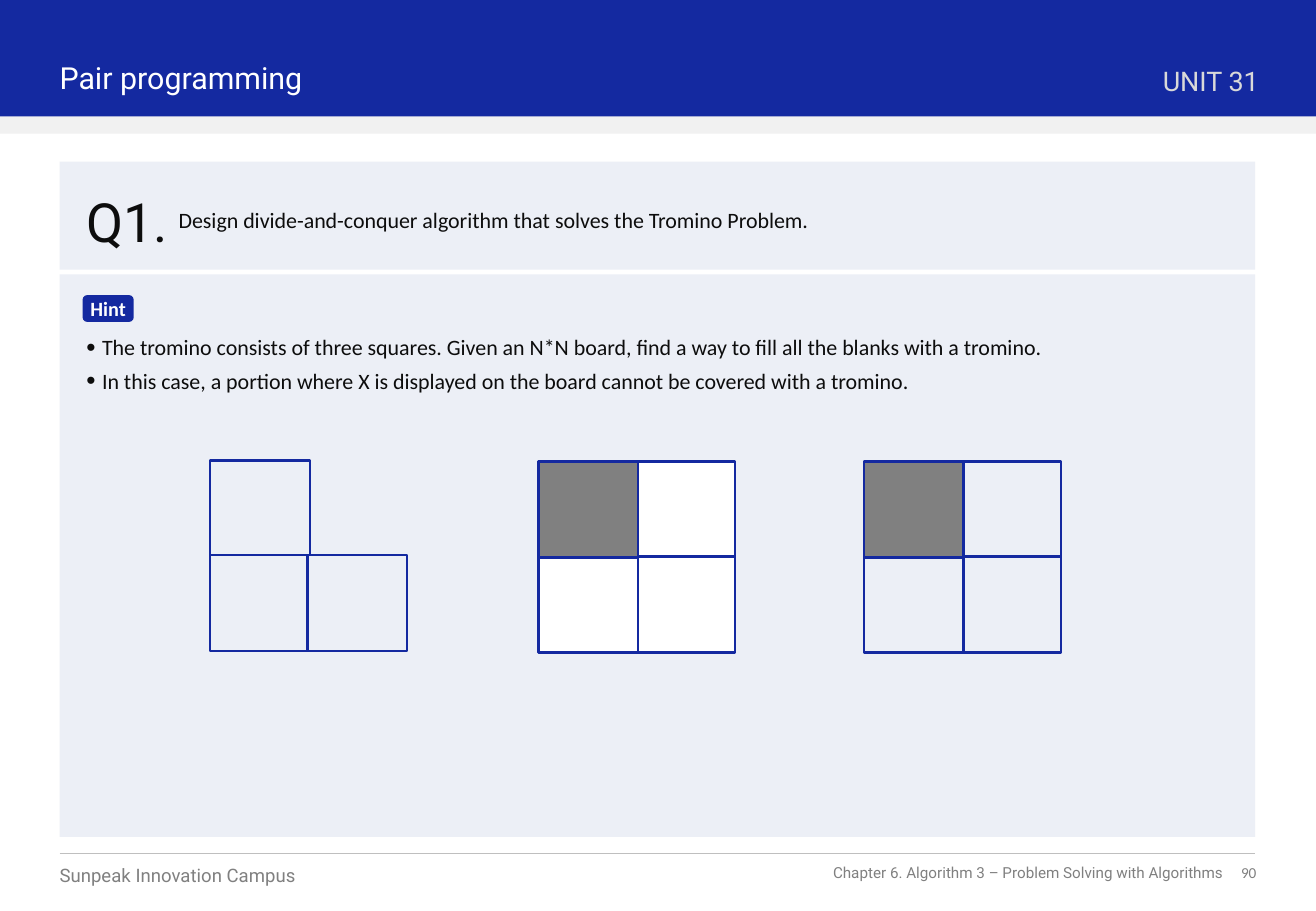
from pptx import Presentation
from pptx.dml.color import RGBColor
from pptx.enum.shapes import MSO_CONNECTOR as Link, MSO_SHAPE as Shape
from pptx.enum.text import MSO_ANCHOR as Anchor, PP_ALIGN as Align
from pptx.oxml.ns import qn
from pptx.util import Inches, Pt
from lxml.etree import SubElement

NAVY, PALE, WHITE = "1429A0", "ECEFF6", "FFFFFF"
GRAY, INK = "808080", "0D0D0D"
LEFT, WIDE = 0.49, 9.84


def rgb(code):
    return RGBColor.from_string(code)


def write(frame, text, size=13, font="Calibri", color=INK, bold=False,
          align=Align.LEFT, anchor=Anchor.TOP, after=0, bullet=False):
    """Fill a text frame, one paragraph for each line of text."""
    frame.margin_left = frame.margin_right = 0
    frame.margin_top = frame.margin_bottom = 0
    frame.word_wrap = True
    frame.vertical_anchor = anchor
    for i, line in enumerate(text.split("\n")):
        para = frame.add_paragraph() if i else frame.paragraphs[0]
        para.alignment = align
        para.space_after = Pt(after)
        if bullet:
            props = para._p.get_or_add_pPr()
            props.set("marL", str(Inches(0.13)))
            props.set("indent", str(-Inches(0.13)))
            SubElement(props, qn("a:buSzPct"), val="120000")
            SubElement(props, qn("a:buFont"), typeface="Arial")
            SubElement(props, qn("a:buChar"), char="•")
        run = para.add_run()
        run.text = line
        run.font.size, run.font.name, run.font.bold = Pt(size), font, bold
        run.font.color.rgb = rgb(color)


class Page:
    def __init__(self, slide):
        self.shapes = slide.shapes

    def box(self, x, y, w, h, fill, line=None, kind=Shape.RECTANGLE):
        shape = self.shapes.add_shape(
            kind, Inches(x), Inches(y), Inches(w), Inches(h))
        shape.shadow.inherit = False
        shape.fill.solid()
        shape.fill.fore_color.rgb = rgb(fill)
        if line:
            shape.line.color.rgb = rgb(line)
            shape.line.width = Pt(1.5)
        else:
            shape.line.fill.background()
        return shape

    def text(self, x, y, w, h, words, **style):
        area = self.shapes.add_textbox(
            Inches(x), Inches(y), Inches(w), Inches(h))
        write(area.text_frame, words, **style)

    def rule(self, x, y, w, color):
        line = self.shapes.add_connector(
            Link.STRAIGHT, Inches(x), Inches(y), Inches(x + w), Inches(y))
        line.line.color.rgb = rgb(color)
        line.line.width = Pt(0.5)
        SubElement(line._element.spPr, qn("a:effectLst"))

    def tiles(self, x, y, cells):
        """Draw squares of a board, each given as column, row and fill."""
        for col, row, fill in cells:
            self.box(x + col * 0.8, y + row * 0.78, 0.82, 0.79, fill, NAVY)


def board(fill):
    return [(1, 0, fill), (1, 1, fill), (0, 1, fill), (0, 0, GRAY)]


def main():
    deck = Presentation()
    deck.slide_width, deck.slide_height = Inches(10.83), Inches(7.5)
    page = Page(deck.slides.add_slide(deck.slide_layouts[6]))

    # Panels and footer
    page.box(LEFT, 1.33, WIDE, 0.89, PALE)
    page.box(LEFT, 2.26, WIDE, 4.63, PALE)
    page.rule(LEFT, 7.03, WIDE, "BFBFBF")
    small = dict(size=9, color=GRAY, align=Align.RIGHT, anchor=Anchor.MIDDLE)
    page.text(9.67, 7.11, 0.67, 0.15, "90", **small)
    page.text(LEFT, 7.11, 3.16, 0.19, "Sunpeak Innovation Campus",
              size=11, font="Roboto", color=GRAY)
    page.text(5.92, 7.11, 4.14, 0.15,
              "Chapter 6. Algorithm 3 – Problem Solving with Algorithms",
              font="Roboto", **small)

    # Header
    page.box(0, 0.68, 10.83, 0.42, "F1F1F1")
    page.box(0, 0, 10.83, 0.96, NAVY)
    page.text(LEFT, 0.49, 6.04, 0.3, "Pair programming",
              size=18, font="Roboto", color=WHITE)
    page.text(9.36, 0.53, 1, 0.27, "UNIT 31", size=16, font="Roboto",
              color="D9D9D9", align=Align.RIGHT)

    # Tromino and boards
    page.tiles(1.73, 3.79, [(0, 0, PALE), (0, 1, PALE), (1, 1, PALE)])
    page.tiles(7.11, 3.8, board(PALE))
    page.tiles(4.43, 3.8, board(WHITE))

    # Question and hint
    page.text(0.71, 2.75, 9.72, 0.49,
              "The tromino consists of three squares. Given an N*N board, "
              "find a way to fill all the blanks with a tromino.\n"
              "In this case, a portion where X is displayed on the board "
              "cannot be covered with a tromino.", after=4, bullet=True)
    page.text(1.47, 1.7, 8.74, 0.22, "Design divide-and-conquer algorithm "
              "that solves the Tromino Problem.", after=10)
    page.text(0.71, 1.55, 1.16, 0.54, "Q1.", size=32, font="Roboto")
    hint = page.box(0.68, 2.43, 0.42, 0.22, NAVY, kind=Shape.ROUNDED_RECTANGLE)
    write(hint.text_frame, "Hint", size=12, color=WHITE, bold=True,
          align=Align.CENTER, anchor=Anchor.MIDDLE)

    deck.save("out.pptx")


if __name__ == "__main__":
    main()
